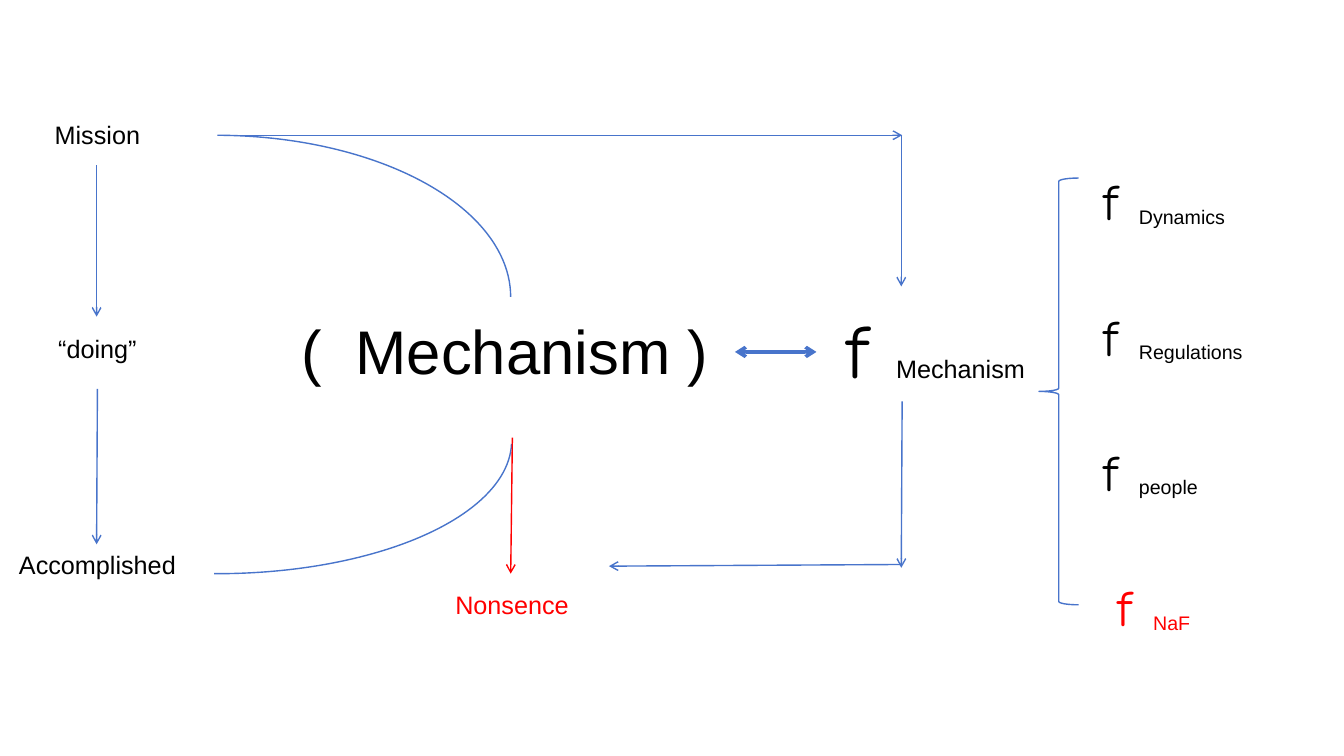
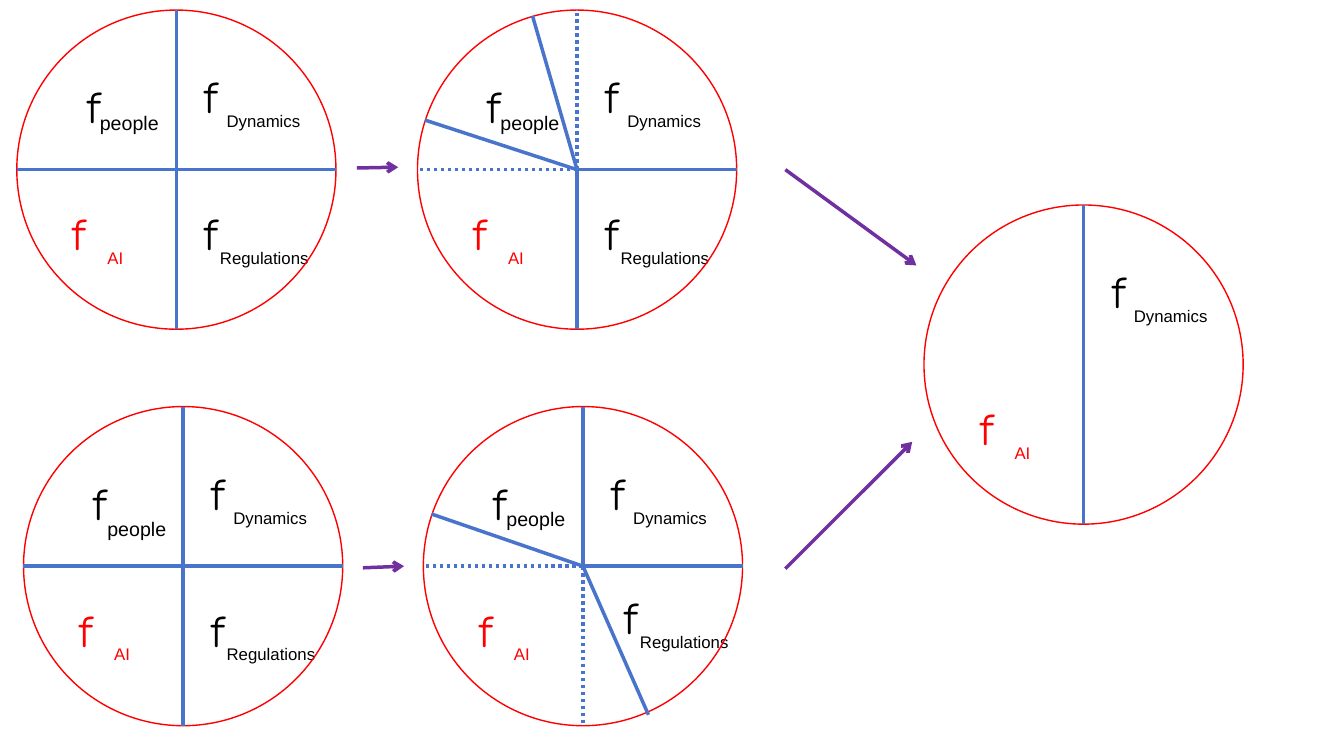
from lxml.etree import SubElement
from pptx import Presentation
from pptx.dml.color import RGBColor
from pptx.enum.dml import MSO_LINE as DASH
from pptx.enum.shapes import MSO_CONNECTOR as CONN, MSO_SHAPE as SHAPE
from pptx.enum.text import MSO_ANCHOR as ANCHOR, PP_ALIGN as ALIGN
from pptx.oxml.ns import qn
from pptx.util import Pt

COLS, ROWS, CELL = 160, 90, Pt(6)
BLACK, RED, BLUE, PURPLE = "000000", "FF0000", "4874CB", "7030A0"
SANS, HAND = "Arial", "Comic Neue"
THIN, THICK = 1, 2.5
rgb = RGBColor.from_string


def add_text(s, text, box, size=18, font=SANS, color=BLACK, align=ALIGN.LEFT, anchor=ANCHOR.TOP):
    sp = s.shapes.add_textbox(*[round(v * CELL) for v in box])
    tf = sp.text_frame
    tf.word_wrap = True
    tf.vertical_anchor = anchor
    p = tf.paragraphs[0]
    p.alignment = align
    r = p.add_run()
    r.text = text
    r.font.size = Pt(size)
    r.font.name = font
    r.font.color.rgb = rgb(color)


def add_line(s, ends, color=BLUE, width=THIN, arrows=(), dash=None):
    c = s.shapes.add_connector(CONN.STRAIGHT, *[round(v * CELL) for v in ends])
    c.line.color.rgb = rgb(color)
    c.line.width = Pt(width)
    if dash:
        c.line.dash_style = dash
    ln = c.line._get_or_add_ln()
    for end in arrows:
        SubElement(ln, qn(f"a:{end}"), type="arrow")
    SubElement(c._element.spPr, qn("a:effectLst"))


prs = Presentation()
prs.slide_width, prs.slide_height = COLS * CELL, ROWS * CELL
blank = prs.slide_layouts[6]

s = prs.slides.add_slide(blank)
for text, top in [("Mission", 13.6), ("“doing”", 39.1), ("Accomplished", 64.8)]:
    add_text(s, text, (0.2, top, 22.8, 4.8), align=ALIGN.CENTER)
add_text(s, "(  Mechanism )", (34.6, 28.6, 51, 26), size=44, align=ALIGN.CENTER, anchor=ANCHOR.MIDDLE)
add_text(s, "Nonsence", (52, 69.6, 17.9, 4.8), color=RED, align=ALIGN.CENTER)
add_text(s, "f", (99.6, 34.3, 13.9, 14.4), size=54, font=HAND, anchor=ANCHOR.MIDDLE)
add_text(s, "Mechanism", (105.5, 41.5, 18.4, 4.8))

factors = [("Dynamics", 0, BLACK), ("Regulations", 0, BLACK), ("people", 0, BLACK), ("NaF", 1.7, RED)]
for i, (name, indent, color) in enumerate(factors):
    left, top = 130.2 + indent, 16.7 + 16.1 * i
    add_text(s, "f", (left, top, 13.9, 14.4), size=36, font=HAND, color=color, anchor=ANCHOR.MIDDLE)
    add_text(s, name, (left + 4.2, top + 7.1, 18.4, 4.1), size=14, color=color)

for kind, box, turn, adjust in [
    (SHAPE.ARC, (-9.4, 16.1, 70.2, 38.5), 0, (162.33, 0)),
    (SHAPE.ARC, (10, 17.4, 31.6, 70.2), 90, (162.33, 0.66)),
    (SHAPE.LEFT_BRACE, (123.7, 21.2, 4.7, 50.8), 0, ()),
]:
    sp = s.shapes.add_shape(kind, *[round(v * CELL) for v in box])
    sp.rotation = turn
    for i, value in enumerate(adjust):
        sp.adjustments[i] = value
    sp.shadow.inherit = False
    sp.fill.background()
    sp.line.color.rgb = rgb(BLUE)
    sp.line.width = Pt(THIN)

for ends in [
    (11.5, 19.7, 11.5, 37.7),
    (11.6, 46.3, 11.5, 64.8),
    (25.9, 16.1, 107.4, 16.1),
    (107.3, 16.1, 107.3, 34.1),
    (107.4, 47.8, 107.3, 67.6),
    (107.3, 67.2, 72.5, 67.4),
]:
    add_line(s, ends, arrows=["tailEnd"])
add_line(s, (61, 52.1, 60.8, 68.3), color=RED, arrows=["tailEnd"])
add_line(s, (87.5, 41.9, 97.2, 41.9), width=THICK, arrows=["headEnd", "tailEnd"])

s = prs.slides.add_slide(blank)
R = 19
UPRIGHT, LEVEL = (0, -R, 0, R), (-R, 0, R, 0)
UP, DOWN, LEFT, RIGHT = (0, 0, 0, -R), (0, 0, 0, R), (0, 0, -R, 0), (0, 0, R, 0)
parts = {
    "Dynamics": ((21.2, 4.3), (23.8, 11.4), 12, BLACK),
    "Regulations": ((21.2, 20.6), (23, 27.7), 12, BLACK),
    "people": ((7.2, 5.5), (8.7, 11.4), 14, BLACK),
    "AI": ((5.5, 20.6), (9.6, 27.7), 12, RED),
}
still = (0, 0, 0, 0)
pies = [
    (2, 1.2, parts, {}, [UPRIGHT, LEVEL], []),
    (49.7, 1.2, parts, {}, [DOWN, RIGHT, (0, 0, -18.1, -5.9), (0, 0, -5.3, -18.3)], [LEFT, UP]),
    (2.8, 48.4, parts, {"people": (0, 0, 0.1, 1.1)}, [UPRIGHT, LEVEL], []),
    (50.4, 48.4, parts, {"Regulations": (1.6, -1.5, 1.6, -1.5)},
     [UP, RIGHT, (0, 0, -18, -6.2), (0, 0, 7.8, 17.7)], [LEFT, DOWN]),
    (110, 24.4, ["Dynamics", "AI"], {}, [UPRIGHT], []),
]
for left, top, names, shifts, solid, dotted in pies:
    for name in names:
        (fx, fy), (nx, ny), size, color = parts[name]
        dfx, dfy, dnx, dny = shifts.get(name, still)
        add_text(s, "f", (left + fx + dfx, top + fy + dfy, 11.4, 11.8),
                 size=32, font=HAND, color=color, anchor=ANCHOR.MIDDLE)
        add_text(s, name, (left + nx + dnx, top + ny + dny, 15, 3.2), size=size, color=color)
    sp = s.shapes.add_shape(SHAPE.OVAL, *[round(v * CELL) for v in (left, top, 2 * R, 2 * R)])
    sp.shadow.inherit = False
    sp.fill.background()
    sp.line.color.rgb = rgb(RED)
    sp.line.width = Pt(THIN)
    cx, cy = left + R, top + R
    for spokes, dash in [(solid, None), (dotted, DASH.ROUND_DOT)]:
        for x1, y1, x2, y2 in spokes:
            add_line(s, (cx + x1, cy + y1, cx + x2, cy + y2), width=THICK, dash=dash)

for ends in [
    (42.5, 20, 47.4, 19.9),
    (43.2, 67.6, 48.1, 67.4),
    (93.5, 20.2, 109.1, 31.6),
    (93.5, 67.7, 108.6, 52.6),
]:
    add_line(s, ends, color=PURPLE, width=THICK, arrows=["tailEnd"])

prs.save("out.pptx")
